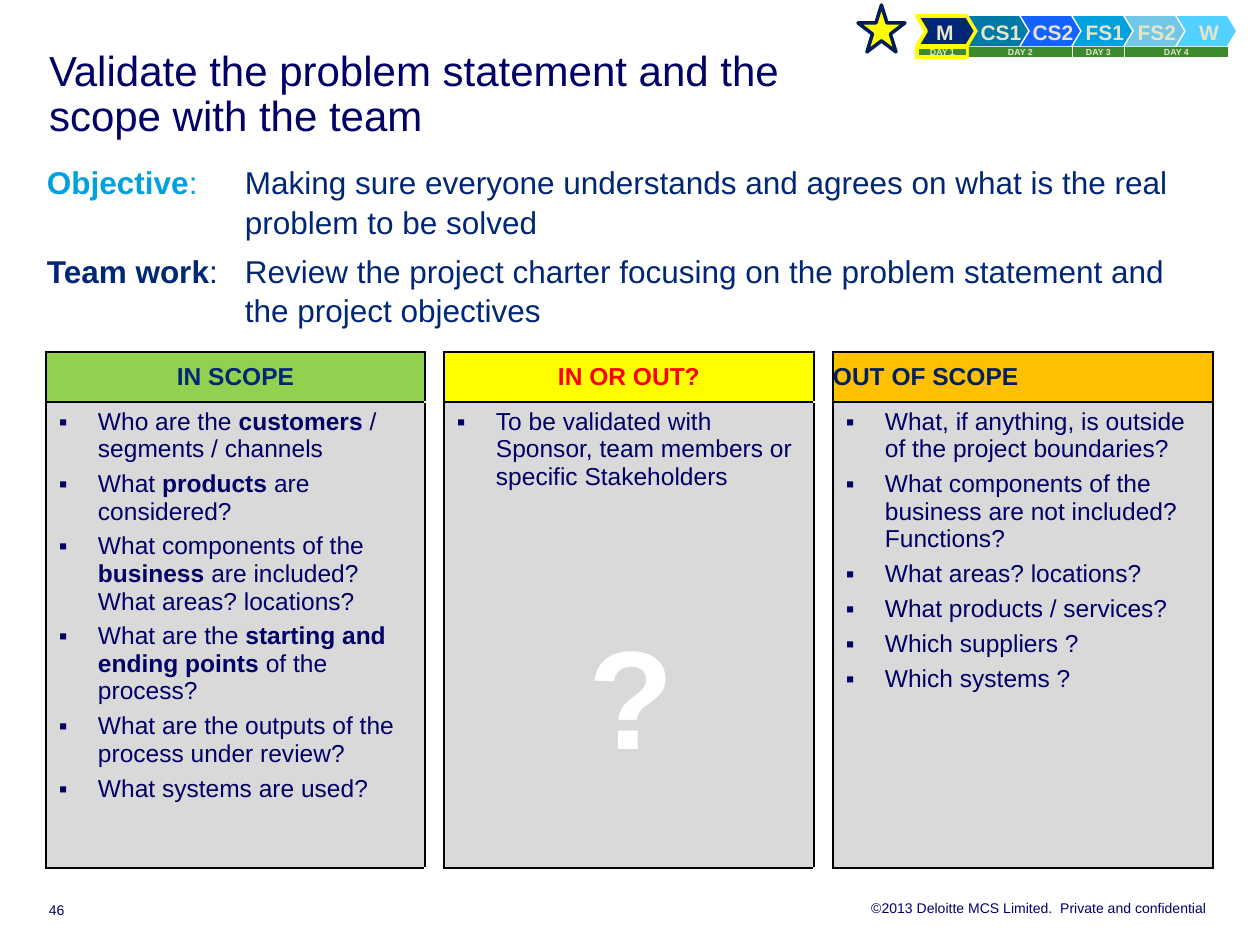
from dataclasses import dataclass
from typing import NamedTuple

from lxml import etree
from pptx import Presentation
from pptx.dml.color import RGBColor
from pptx.enum.shapes import MSO_SHAPE
from pptx.enum.text import MSO_ANCHOR, MSO_AUTO_SIZE, PP_ALIGN
from pptx.oxml.ns import qn
from pptx.util import Emu, Pt

LEFT, CENTER, RIGHT = PP_ALIGN.LEFT, PP_ALIGN.CENTER, PP_ALIGN.RIGHT
TOP, MIDDLE, BOTTOM = MSO_ANCHOR.TOP, MSO_ANCHOR.MIDDLE, MSO_ANCHOR.BOTTOM
CHEVRON, RECTANGLE, STAR = MSO_SHAPE.CHEVRON, MSO_SHAPE.RECTANGLE, MSO_SHAPE.STAR_5_POINT
PX_PER_INCH = 126


@dataclass(frozen=True)
class Theme:
    font: str = "Arial"
    ink: str = "000066"
    navy: str = "002776"
    cyan: str = "00A1DE"
    yellow: str = "FFFF00"
    green: str = "3C8A2E"
    cream: str = "E5E5CC"
    gray: str = "D9D9D9"
    white: str = "FFFFFF"
    black: str = "000000"
    star_line: str = "001D57"
    title_size: int = 24
    body_size: int = 18
    table_size: int = 14
    step_size: int = 12
    small_size: int = 8
    day_size: int = 5
    mark_size: int = 80


THEME = Theme()


class Run(NamedTuple):
    text: str
    bold: bool = False
    color: str | None = None


class Step(NamedTuple):
    label: str
    fill: str
    line: str | None = None
    align: PP_ALIGN = CENTER
    insets: tuple[int, int, int, int] = (25, 8, 20, 8)


class Day(NamedTuple):
    label: str
    start: int
    span: int
    line: str | None = None


class Column(NamedTuple):
    heading: str
    fill: str
    color: str
    align: PP_ALIGN
    items: list


STEPS = [
    Step("M", THEME.navy, THEME.yellow, LEFT, (10, 8, 0, 8)),
    Step("CS1", "0079A6"),
    Step("CS2", "1462FF"),
    Step("FS1", THEME.cyan),
    Step("FS2", "72C7E7"),
    Step("W", "52D0FF"),
]
DAYS = [Day("DAY 1", 0, 1, THEME.yellow), Day("DAY 2", 1, 2), Day("DAY 3", 3, 1), Day("DAY 4", 4, 2)]
COLUMNS = [
    Column("IN SCOPE", "92D050", THEME.navy, CENTER, [
        [Run("Who are the "), Run("customers", True), Run(" / segments / channels")],
        [Run("What "), Run("products", True), Run(" are considered?")],
        [Run("What components of the "), Run("business", True),
         Run(" are included? What areas? locations?")],
        [Run("What are the "), Run("starting and ending points ", True), Run("of the process?")],
        "What are the outputs of the process under review?",
        "What systems are used?",
    ]),
    Column("IN OR OUT?", THEME.yellow, "FF0000", CENTER, [
        "To be validated with Sponsor, team members or specific Stakeholders",
    ]),
    Column("OUT OF SCOPE", "FFC000", "002060", LEFT, [
        "What, if anything, is outside of the project boundaries?",
        "What components of the business are not included? Functions?",
        "What areas? locations?",
        "What products / services?",
        "Which suppliers ?",
        "Which systems ?",
    ]),
]
OBJECTIVES = [
    [Run("Objective", True, THEME.cyan), Run(":\t", False, THEME.cyan),
     Run("Making sure everyone understands and agrees on what is the real problem to be solved")],
    [Run("Team work", True),
     Run(":\tReview the project charter focusing on the problem statement and the project objectives")],
]


def px(length: int) -> Emu:
    return Emu(round(length * 914400 / PX_PER_INCH))


def write(frame, paragraphs: list, *, size: int, color: str = THEME.ink, bold: bool = False,
          align: PP_ALIGN = LEFT, hanging: int = 0, bullet: str | None = None,
          line_spacing=None, before: float = 0, after: float = 0) -> None:
    for index, content in enumerate(paragraphs):
        paragraph = frame.paragraphs[0] if index == 0 else frame.add_paragraph()
        properties = paragraph._p.get_or_add_pPr()
        properties.set("marL", str(px(hanging)))
        properties.set("indent", str(-px(hanging)))
        if bullet:
            etree.SubElement(properties, qn("a:buFont"), typeface=THEME.font)
            etree.SubElement(properties, qn("a:buChar"), char=bullet)
        else:
            etree.SubElement(properties, qn("a:buNone"))
        paragraph.alignment = align
        paragraph.space_before = Pt(before if index else 0)
        paragraph.space_after = Pt(after)
        if line_spacing:
            paragraph.line_spacing = line_spacing
        for part in [Run(content, bold)] if isinstance(content, str) else content:
            run = paragraph.add_run()
            run.text = part.text
            run.font.name = THEME.font
            run.font.size = Pt(size)
            run.font.bold = part.bold
            run.font.color.rgb = RGBColor.from_string(part.color or color)


def set_frame(frame, insets=(0, 0, 0, 0), anchor=TOP, wrap: bool = True) -> None:
    frame.auto_size = MSO_AUTO_SIZE.NONE
    frame.word_wrap = wrap
    frame.vertical_anchor = anchor
    frame.margin_left, frame.margin_top, frame.margin_right, frame.margin_bottom = map(px, insets)


def place(shape, left: int, top: int, width: int, height: int) -> None:
    shape.left, shape.top, shape.width, shape.height = map(px, (left, top, width, height))


def add_text(slide, box: tuple, text: str, *, insets=(0, 0, 0, 0), anchor=TOP,
             wrap: bool = True, **text_format) -> None:
    frame = slide.shapes.add_textbox(*map(px, box)).text_frame
    set_frame(frame, insets, anchor, wrap)
    write(frame, [text], **text_format)


def add_shape(slide, kind, box: tuple, fill: str, line: str | None = None, weight: float = 2.25):
    shape = slide.shapes.add_shape(kind, *map(px, box))
    shape.shadow.inherit = False
    shape.fill.solid()
    shape.fill.fore_color.rgb = RGBColor.from_string(fill)
    if line:
        shape.line.color.rgb = RGBColor.from_string(line)
        shape.line.width = Pt(weight)
    else:
        shape.line.fill.background()
    return shape


def add_roadmap(slide, left: int = 917, pitch: int = 52) -> None:
    for index, step in enumerate(STEPS):
        shape = add_shape(slide, CHEVRON, (left + index * pitch, 16, 59, 30), step.fill, step.line)
        shape.adjustments[0] = 0.3
        set_frame(shape.text_frame, step.insets, MIDDLE, False)
        write(shape.text_frame, [step.label], size=THEME.step_size, color=THEME.cream,
              bold=True, align=step.align, line_spacing=1.1)
    for day in DAYS:
        box = (left + day.start * pitch, 47, day.span * pitch - 1, 10)
        shape = add_shape(slide, RECTANGLE, box, THEME.green, day.line)
        set_frame(shape.text_frame, (5, 0, 5, 0))
        write(shape.text_frame, [day.label], size=THEME.day_size, color=THEME.cream,
              bold=True, align=CENTER)


def set_cell(cell, fill: str | None, insets=(0, 0, 0, 0), anchor=TOP) -> None:
    properties = cell._tc.get_or_add_tcPr()
    for side in ("lnL", "lnR", "lnT", "lnB") if fill else ("lnL", "lnR"):
        border = etree.SubElement(properties, qn(f"a:{side}"), w=str(Pt(1)))
        solid = etree.SubElement(border, qn("a:solidFill"))
        etree.SubElement(solid, qn("a:srgbClr"), val=THEME.black)
    if fill:
        cell.fill.solid()
        cell.fill.fore_color.rgb = RGBColor.from_string(fill)
    else:
        cell.fill.background()
    cell.vertical_anchor = anchor
    cell.margin_left, cell.margin_top, cell.margin_right, cell.margin_bottom = map(px, insets)


def add_scope_table(slide) -> None:
    widths, heights = (379, 19, 370, 19, 380), (50, 466)
    box = (46, 352, sum(widths), sum(heights))
    table = slide.shapes.add_table(len(heights), len(widths), *map(px, box)).table
    table.first_row = table.horz_banding = False
    for column, width in zip(table.columns, widths):
        column.width = px(width)
    for row, height in zip(table.rows, heights):
        row.height = px(height)
        for gap in (1, 3):
            set_cell(row.cells[gap], None)
    for index, column in enumerate(COLUMNS):
        heading, body = table.cell(0, 2 * index), table.cell(1, 2 * index)
        set_cell(heading, column.fill, anchor=MIDDLE)
        write(heading.text_frame, [column.heading], size=THEME.table_size, color=column.color,
              bold=True, align=column.align)
        set_cell(body, THEME.gray, (13, 6, 5, 0))
        write(body.text_frame, column.items, size=THEME.table_size, hanging=39, bullet="▪", after=4.2)


def main() -> None:
    presentation = Presentation()
    presentation.slide_width, presentation.slide_height = px(1260), px(945)
    slide = presentation.slides.add_slide(presentation.slide_layouts[1])
    title, body = slide.placeholders
    place(title, 49, 49, 852, 87)
    set_frame(title.text_frame)
    write(title.text_frame, ["Validate the problem statement and the scope with the team"],
          size=THEME.title_size, line_spacing=Pt(26))
    place(body, 47, 161, 1167, 164)
    set_frame(body.text_frame)
    write(body.text_frame, OBJECTIVES, size=THEME.body_size, color=THEME.navy, hanging=198,
          line_spacing=1.05, before=5.4)
    add_roadmap(slide)
    add_shape(slide, STAR, (858, 5, 47, 47), THEME.yellow, THEME.star_line, 2)
    add_scope_table(slide)
    add_text(slide, (576, 604, 112, 183), "?", insets=(13, 6, 13, 6), wrap=False,
             size=THEME.mark_size, color=THEME.white, bold=True)
    add_text(slide, (49, 902, 49, 16), "46", anchor=BOTTOM, size=THEME.small_size)
    add_text(slide, (428, 899, 779, 16), "©2013 Deloitte MCS Limited.  Private and confidential",
             size=THEME.small_size, align=RIGHT)
    presentation.save("out.pptx")


if __name__ == "__main__":
    main()
